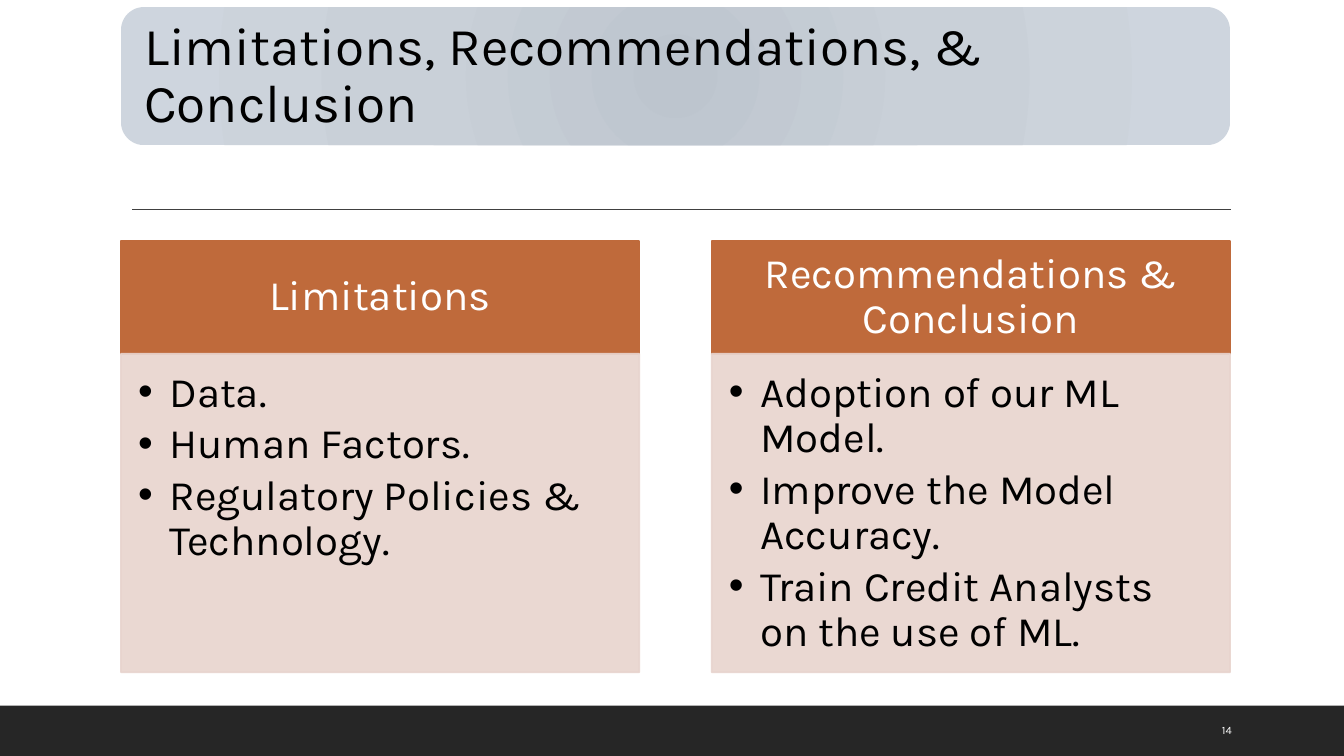
from dataclasses import dataclass

from lxml import etree
from pptx import Presentation
from pptx.dml.color import RGBColor
from pptx.enum.shapes import MSO_CONNECTOR, MSO_SHAPE
from pptx.enum.text import MSO_ANCHOR, MSO_AUTO_SIZE, PP_ALIGN
from pptx.oxml import parse_xml
from pptx.oxml.ns import nsdecls, qn
from pptx.util import Inches, Pt

TITLE = "Limitations, Recommendations, & Conclusion"
COLUMNS = [
    ("Limitations",
     ["Data.", "Human Factors.", "Regulatory Policies & Technology."]),
    ("Recommendations & Conclusion",
     ["Adoption of our ML Model.", "Improve the Model Accuracy.",
      "Train Credit Analysts on the use of ML."]),
]
PAGE_NUMBER = "14"

RECTANGLE = MSO_SHAPE.RECTANGLE
ROUNDED = MSO_SHAPE.ROUNDED_RECTANGLE
LEFT, CENTER = PP_ALIGN.LEFT, PP_ALIGN.CENTER
TOP, MIDDLE = MSO_ANCHOR.TOP, MSO_ANCHOR.MIDDLE


@dataclass(frozen=True)
class Theme:
    font: str = "Karla"
    text: str = "000000"
    inverse: str = "FFFFFF"
    footer: str = "262626"
    rule: str = "404040"
    header: str = "BF6A3B"
    body: str = "E8D4CE"
    banner: tuple = ((0, "BDC5CE"), (45, "C9D0D8"), (100, "CED5DE"))
    title_size: float = 38
    column_size: float = 30
    number_size: float = 8
    body_opacity: int = 90


THEME = Theme()
SLIDE_WIDTH, SLIDE_HEIGHT = 13.33, 7.5
FOOTER_HEIGHT = 0.5
MARGIN, CONTENT_WIDTH = 1.2, 11
COLUMN_WIDTH = 5.14
COLUMN_STEP = CONTENT_WIDTH - COLUMN_WIDTH
HEADER_TOP, HEADER_HEIGHT, BODY_HEIGHT = 2.39, 1.12, 3.16
BULLET_INDENT = 0.31


def inches(*lengths):
    return [Inches(length) for length in lengths]


def add_block(slide, kind, box, color=None, outline=False):
    shape = slide.shapes.add_shape(kind, *inches(*box))
    shape.shadow.inherit = False
    if color:
        shape.fill.solid()
        shape.fill.fore_color.rgb = RGBColor.from_string(color)
    if outline:
        shape.line.color.rgb = RGBColor.from_string(color)
        shape.line.width = Pt(1.25)
    else:
        shape.line.fill.background()
    return shape


def set_banner_gradient(shape):
    shape.fill.gradient()
    stops = "".join(
        f'<a:gs pos="{position * 1000}"><a:srgbClr val="{color}"/></a:gs>'
        for position, color in THEME.banner)
    gradient = parse_xml(
        f'<a:gradFill {nsdecls("a")} rotWithShape="1"><a:gsLst>{stops}</a:gsLst>'
        '<a:path path="circle"><a:fillToRect l="100000" t="100000" '
        'r="100000" b="100000"/></a:path></a:gradFill>')
    properties = shape.element.spPr
    properties.replace(properties.find(qn("a:gradFill")), gradient)


def set_opacity(shape, percent):
    """Apply one opacity to both the fill and the outline."""
    for color in shape.element.spPr.iter(qn("a:srgbClr")):
        etree.SubElement(color, qn("a:alpha")).set("val", str(percent * 1000))


def add_bullet(paragraph):
    properties = paragraph._p.get_or_add_pPr()
    properties.set("marL", str(Inches(BULLET_INDENT)))
    properties.set("indent", str(-Inches(BULLET_INDENT)))
    etree.SubElement(properties, qn("a:buFont")).set("typeface", "Arial")
    etree.SubElement(properties, qn("a:buChar")).set("char", "•")


def write(shape, lines, size, color, insets, align=LEFT, anchor=MIDDLE,
          bullets=False):
    frame = shape.text_frame
    frame.word_wrap = True
    frame.auto_size = MSO_AUTO_SIZE.NONE
    frame.vertical_anchor = anchor
    (frame.margin_left, frame.margin_top,
     frame.margin_right, frame.margin_bottom) = inches(*insets)
    for index, line in enumerate(lines):
        paragraph = frame.add_paragraph() if index else frame.paragraphs[0]
        paragraph.alignment = align
        paragraph.line_spacing = 0.9
        paragraph.space_before = Pt(0)
        if bullets:
            paragraph.space_after = Pt(size * 0.15)
            add_bullet(paragraph)
        run = paragraph.add_run()
        run.text = line
        run.font.name = THEME.font
        run.font.size = Pt(size)
        run.font.color.rgb = RGBColor.from_string(color)


def add_rule(slide):
    start_x, end_x, y = inches(1.31, 12.21, 2.08)
    rule = slide.shapes.add_connector(
        MSO_CONNECTOR.STRAIGHT, start_x, y, end_x, y)
    rule.line.color.rgb = RGBColor.from_string(THEME.rule)
    rule.line.width = Pt(1)
    etree.SubElement(rule.element.spPr, qn("a:effectLst"))


def add_title(slide):
    banner = add_block(slide, ROUNDED, (MARGIN, 0.07, CONTENT_WIDTH, 1.37))
    set_banner_gradient(banner)
    title = slide.shapes.title
    title.left, title.top, title.width, title.height = inches(
        1.27, 0.14, 10.87, 1.24)
    write(title, [TITLE], THEME.title_size, THEME.text, (0.16,) * 4)
    banner.element.addnext(title.element)  # title in front of its banner


def add_column(slide, left, heading, points):
    header = add_block(
        slide, RECTANGLE, (left, HEADER_TOP, COLUMN_WIDTH, HEADER_HEIGHT),
        THEME.header, outline=True)
    write(header, [heading], THEME.column_size, THEME.inverse,
          (0.23, 0.13, 0.23, 0.13), CENTER)
    body = add_block(
        slide, RECTANGLE,
        (left, HEADER_TOP + HEADER_HEIGHT, COLUMN_WIDTH, BODY_HEIGHT),
        THEME.body, outline=True)
    set_opacity(body, THEME.body_opacity)
    write(body, points, THEME.column_size, THEME.text,
          (0.17, 0.17, 0.23, 0.26), anchor=TOP, bullets=True)


def main():
    presentation = Presentation()
    presentation.slide_width = Inches(SLIDE_WIDTH)
    presentation.slide_height = Inches(SLIDE_HEIGHT)
    slide = presentation.slides.add_slide(presentation.slide_layouts[5])

    add_block(slide, RECTANGLE, (0, SLIDE_HEIGHT - FOOTER_HEIGHT,
                                 SLIDE_WIDTH, FOOTER_HEIGHT), THEME.footer)
    add_rule(slide)
    add_title(slide)
    for index, (heading, points) in enumerate(COLUMNS):
        add_column(slide, MARGIN + index * COLUMN_STEP, heading, points)
    number = slide.shapes.add_textbox(*inches(12.02, 7.05, 0.85, 0.4))
    write(number, [PAGE_NUMBER], THEME.number_size, THEME.inverse,
          (0.1, 0.05, 0.1, 0.05))

    presentation.save("out.pptx")


if __name__ == "__main__":
    main()
